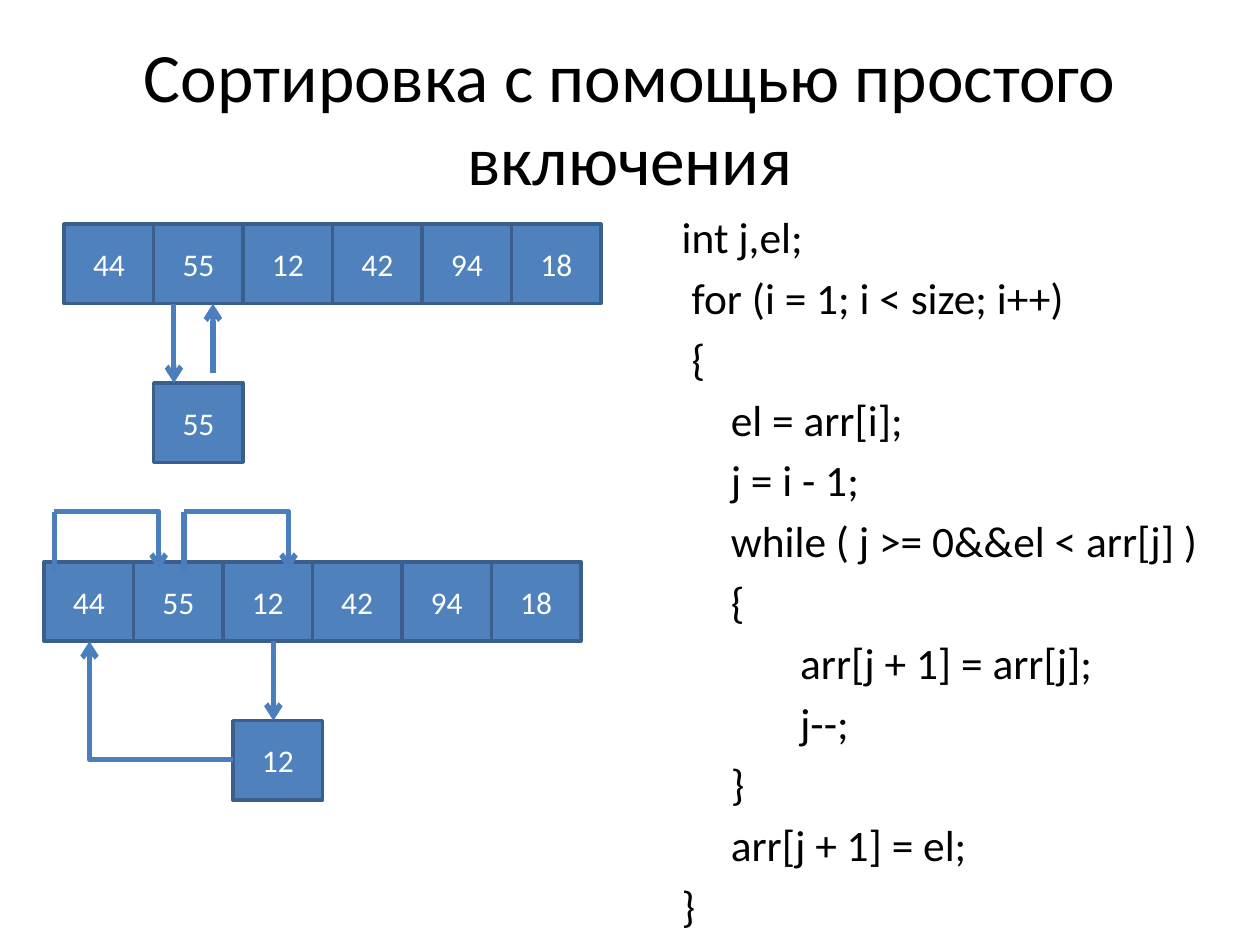
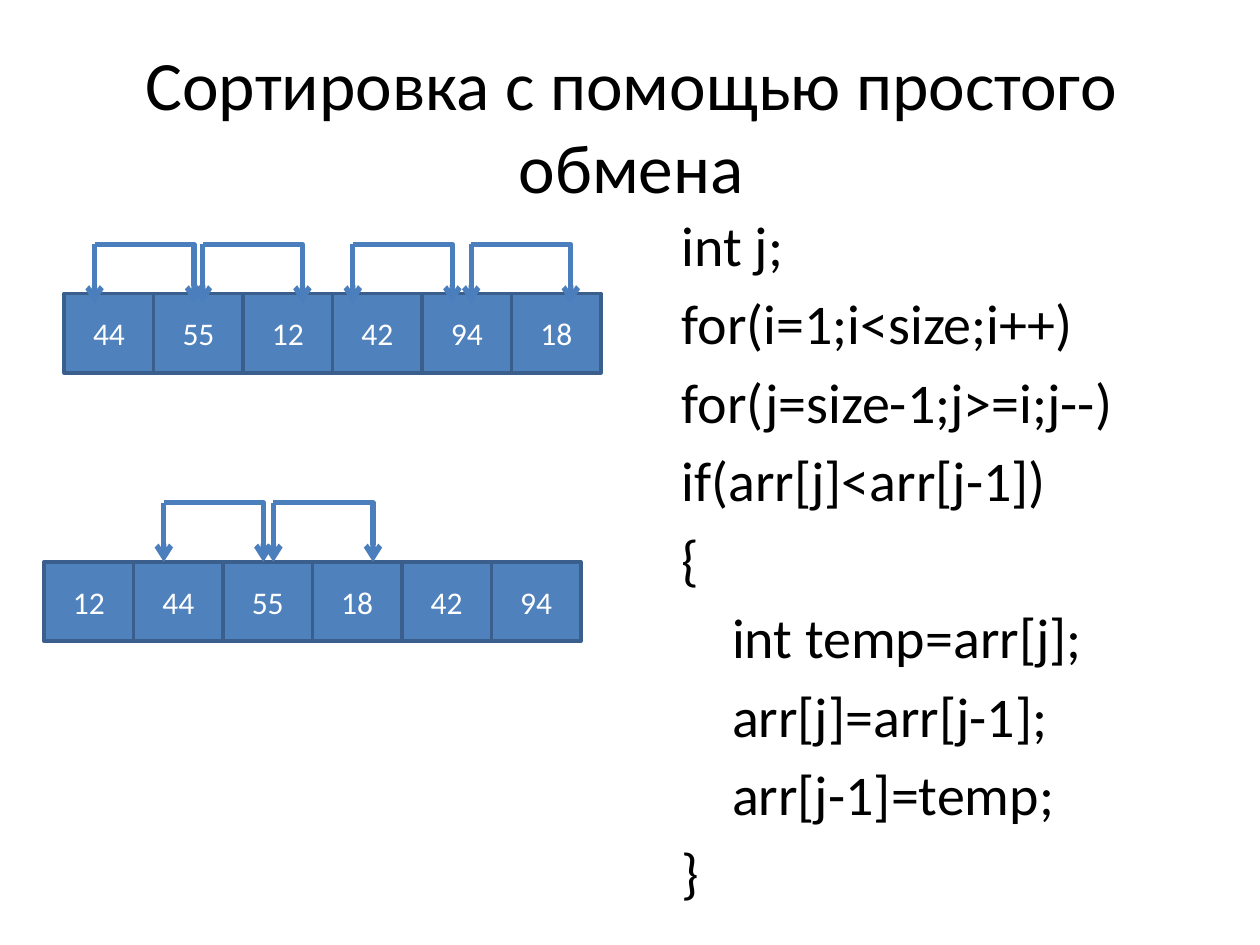
from lxml.etree import SubElement as Sub
from pptx import Presentation
from pptx.dml.color import RGBColor as Rgb
from pptx.enum.shapes import MSO_CONNECTOR as Link, MSO_SHAPE as Form
from pptx.enum.text import MSO_ANCHOR as Anchor, MSO_AUTO_SIZE as Fit, PP_ALIGN as Align
from pptx.oxml.ns import qn
from pptx.util import Inches, Pt

FONT = "Calibri"
BLACK, WHITE = "000000", "FFFFFF"
FILL, EDGE, WIRE = "4F81BD", "3A5F8C", "4B7EBC"
CELL_W, CELL_H = 0.71, 0.63
HANG = 0.38
ARCH_H = 0.47
HALF_TURN = "10800000"

# Code lines with their indent in inches
INSERT = [
    (0, "int j,el;"),
    (0.08, "for (i = 1; i < size; i++)"),
    (0.08, "{"),
    (0.39, "el = arr[i];"),
    (0.39, "j = i - 1;"),
    (0.39, "while ( j >= 0&&el < arr[j] )"),
    (0.39, "{"),
    (0.94, "arr[j + 1] = arr[j];"),
    (0.94, "j--;"),
    (0.39, "}"),
    (0.39, "arr[j + 1] = el;"),
    (0, "}"),
]
SWAP = [
    (0, "int j;"),
    (0, "for(i=1;i<size;i++)"),
    (0, "for(j=size-1;j>=i;j--)"),
    (0, "if(arr[j]<arr[j-1])"),
    (0, "{"),
    (0.4, "int temp=arr[j];"),
    (0.4, "arr[j]=arr[j-1];"),
    (0.4, "arr[j-1]=temp;"),
    (0, "}"),
]


def color(code):
    return Rgb.from_string(code)


def style(para, size, tone):
    for run in para.runs:
        run.font.name = FONT
        run.font.size = Pt(size)
        run.font.color.rgb = color(tone)


def place(shape, left, top, width, height):
    shape.left, shape.top = Inches(left), Inches(top)
    shape.width, shape.height = Inches(width), Inches(height)


# Title and code placeholders
def add_page(deck, title, left, top):
    page = deck.slides.add_slide(deck.slide_layouts[1])
    head = page.shapes.title
    place(head, left, top, 9, 1.25)
    head.text_frame.text = title
    head.text_frame.auto_size = Fit.NONE
    para = head.text_frame.paragraphs[0]
    para.alignment = Align.CENTER
    style(para, 39.6, BLACK)
    return page


def add_code(page, lines, size, height):
    body = page.placeholders[1]
    place(body, 5.31, 1.62, 4.5, height)
    frame = body.text_frame
    frame.text = "\n".join(text for _, text in lines)
    frame.auto_size = Fit.NONE
    for para, (indent, _) in zip(frame.paragraphs, lines):
        props = para._p.get_or_add_pPr()
        props.set("marL", str(Inches(HANG + indent)))
        props.set("indent", str(Inches(-HANG)))
        Sub(props, qn("a:buNone"))
        style(para, size, BLACK)


# Array cells
def add_cell(page, left, top, value):
    cell = page.shapes.add_shape(Form.RECTANGLE, Inches(left), Inches(top),
                                 Inches(CELL_W), Inches(CELL_H))
    cell.shadow.inherit = False
    cell.fill.solid()
    cell.fill.fore_color.rgb = color(FILL)
    cell.line.color.rgb = color(EDGE)
    cell.line.width = Pt(2)
    frame = cell.text_frame
    frame.text = str(value)
    frame.vertical_anchor = Anchor.MIDDLE
    frame.paragraphs[0].alignment = Align.CENTER
    style(frame.paragraphs[0], 18, WHITE)


def add_row(page, left, top, values):
    for i, value in enumerate(values):
        add_cell(page, left + i * CELL_W, top, value)


# Lines and arrows
def add_wire(shapes, start, end, kind=Link.STRAIGHT, tips=("tailEnd",)):
    wire = shapes.add_connector(kind, *map(Inches, start + end))
    wire.line.color.rgb = color(WIRE)
    wire.line.width = Pt(3)
    edge = wire.line._get_or_add_ln()
    for tip in tips:
        Sub(edge, qn("a:" + tip), type="arrow")
    Sub(wire._element.spPr, qn("a:effectLst"))
    return wire


def add_bend(shapes, start, end, turn=False):
    """One corner: across, then down; a half turn goes back, then up."""
    if turn:
        start, end = end, start
    bend = add_wire(shapes, start, end, Link.ELBOW)
    props = bend._element.spPr
    props.find(qn("a:prstGeom")).set("prst", "bentConnector2")
    if turn:
        props.find(qn("a:xfrm")).set("rot", HALF_TURN)


def add_arch(page, left, top, width, tips=()):
    shapes = page.shapes.add_group_shape().shapes
    low = top + ARCH_H
    add_bend(shapes, (left, top), (left + width, low))
    add_wire(shapes, (left, low), (left, top), tips=tips)


def main():
    deck = Presentation()
    deck.slide_width, deck.slide_height = Inches(10), Inches(7.5)

    # Insertion sort
    page = add_page(deck, "Сортировка с помощью простого включения", 0.5, 0.3)
    add_code(page, INSERT, 24.8, 5.67)
    values = [44, 55, 12, 42, 94, 18]
    add_row(page, 0.51, 1.78, values)
    add_cell(page, 1.22, 3.04, 55)
    add_wire(page.shapes, (1.38, 2.41), (1.38, 3.04))
    add_wire(page.shapes, (1.69, 2.96), (1.69, 2.41))
    add_row(page, 0.35, 4.46, values)
    add_cell(page, 1.85, 5.72, 12)
    add_wire(page.shapes, (2.17, 5.09), (2.17, 5.72))
    for left in (0.43, 1.46):
        add_arch(page, left, 4.06, 0.83)
    add_bend(page.shapes, (1.85, 6.03), (0.71, 5.09), turn=True)

    # Exchange sort
    page = add_page(deck, "Сортировка с помощью простого обмена", 0.51, 0.36)
    add_code(page, SWAP, 32, 5.88)
    add_row(page, 0.51, 2.33, values)
    add_row(page, 0.35, 4.46, [12, 44, 55, 18, 42, 94])
    for top, lefts in ((1.94, (3.74, 2.8, 1.61, 0.75)), (3.99, (2.17, 1.3))):
        for left in lefts:
            add_arch(page, left, top, 0.79, tips=("headEnd",))

    deck.save("out.pptx")


if __name__ == "__main__":
    main()
